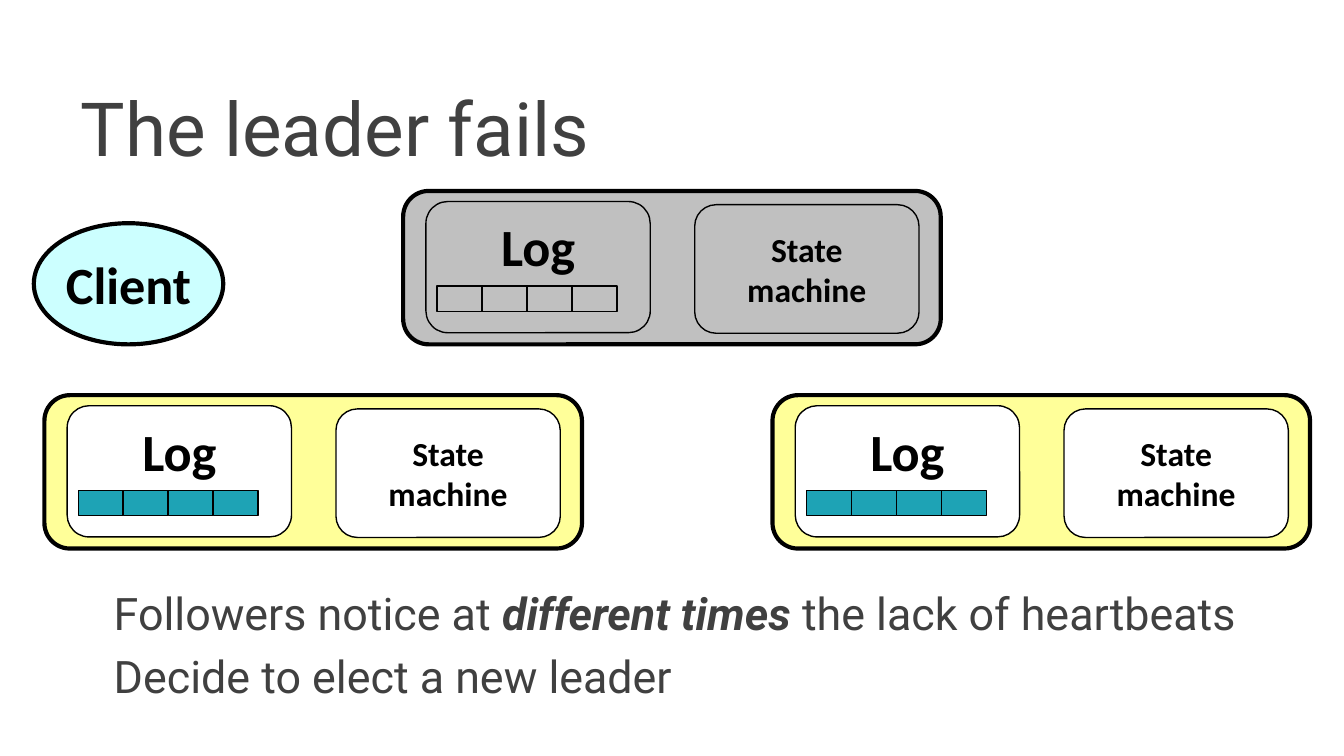
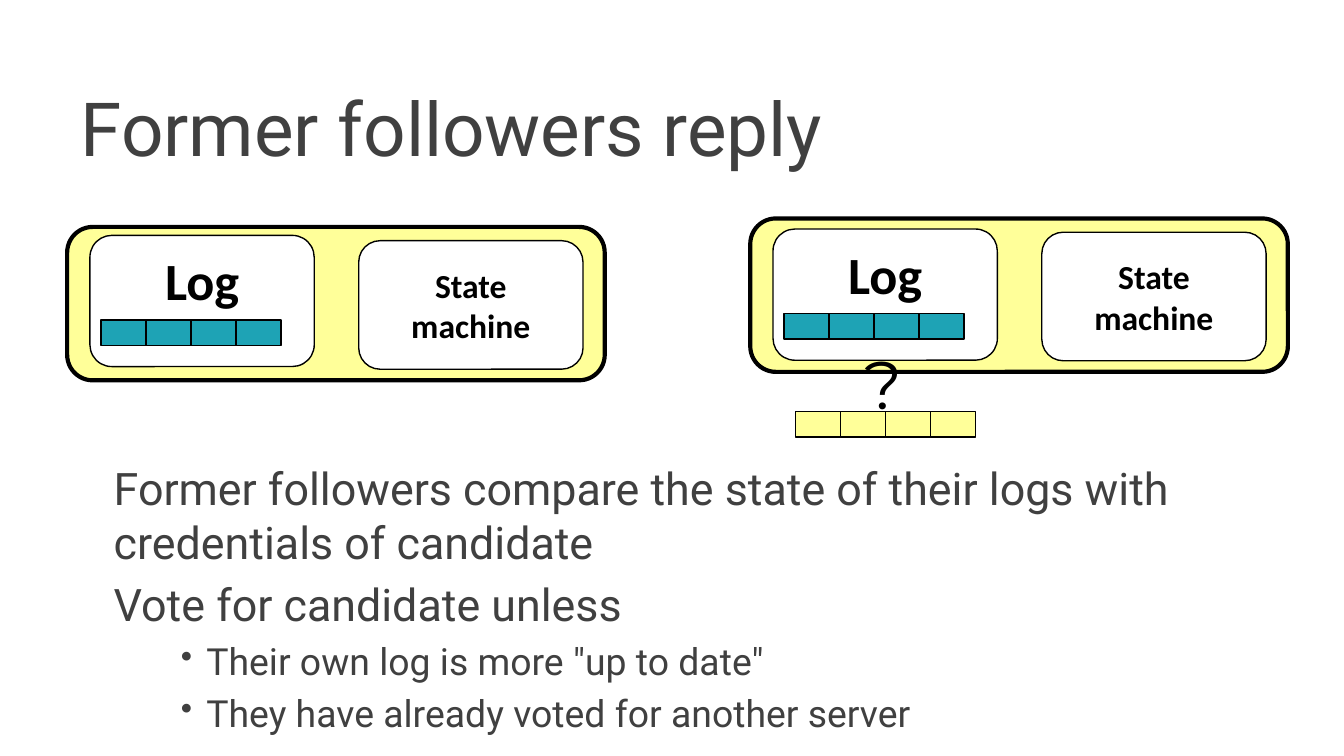
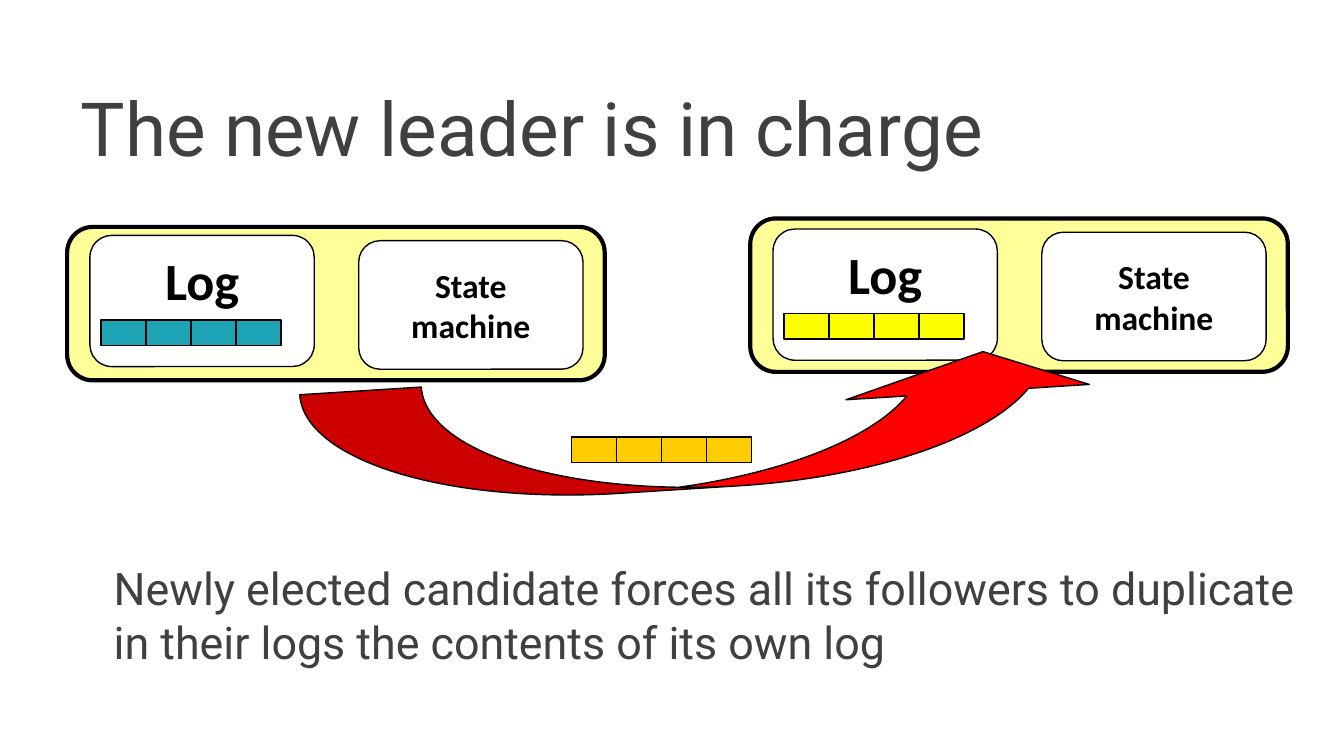
from pptx import Presentation
from pptx.dml.color import RGBColor
from pptx.enum.shapes import MSO_SHAPE
from pptx.enum.text import MSO_ANCHOR, PP_ALIGN
from pptx.oxml.ns import qn
from pptx.util import Cm, Pt
from lxml import etree

ROUNDED = MSO_SHAPE.ROUNDED_RECTANGLE
RECTANGLE = MSO_SHAPE.RECTANGLE
ELLIPSE = MSO_SHAPE.OVAL
CURVED_ARROW = MSO_SHAPE.CURVED_LEFT_ARROW
TOP, MIDDLE = MSO_ANCHOR.TOP, MSO_ANCHOR.MIDDLE
LEFT, CENTER = PP_ALIGN.LEFT, PP_ALIGN.CENTER

# Shared colours and fonts
BLACK = RGBColor(0x00, 0x00, 0x00)
WHITE = RGBColor(0xFF, 0xFF, 0xFF)
TEXT_GREY = RGBColor(0x40, 0x40, 0x40)
FAILED_GREY = RGBColor(0xC0, 0xC0, 0xC0)
PALE_BLUE = RGBColor(0xCC, 0xFF, 0xFF)
PALE_YELLOW = RGBColor(0xFF, 0xFF, 0x99)
YELLOW = RGBColor(0xFF, 0xFF, 0x00)
AMBER = RGBColor(0xFF, 0xCC, 0x00)
TEAL = RGBColor(0x1E, 0xA3, 0xB5)
RED = RGBColor(0xFF, 0x00, 0x00)
TEXT_FONT, LABEL_FONT, MARK_FONT = "Roboto", "Calibri", "Montserrat"

# Log entries, in centimetres
ENTRY_COUNT, ENTRY_WIDTH, ENTRY_HEIGHT = 4, 0.85, 0.48


def add_box(shapes, kind, left, top, width, height, fill, weight=0.75,
            lines=(), size=18, anchor=MIDDLE):
    box = shapes.add_shape(kind, Cm(left), Cm(top), Cm(width), Cm(height))
    box.shadow.inherit = False
    box.fill.solid()
    box.fill.fore_color.rgb = fill
    box.line.color.rgb = BLACK
    box.line.width = Pt(weight)
    frame = box.text_frame
    frame.word_wrap = False
    frame.vertical_anchor = anchor
    for index, line in enumerate(lines):
        para = frame.add_paragraph() if index else frame.paragraphs[0]
        para.alignment = CENTER
        span = para.add_run()
        span.text = line
        span.font.name, span.font.size = LABEL_FONT, Pt(size)
        span.font.bold = True
        span.font.color.rgb = BLACK
    return box


def add_entries(shapes, left, top, fill):
    for index in range(ENTRY_COUNT):
        add_box(shapes, RECTANGLE, left + index * ENTRY_WIDTH, top,
                ENTRY_WIDTH, ENTRY_HEIGHT, fill)


# Servers: left, top, drop of the log box, body, inner boxes, log entries
# Text: top and height of the box, then paragraphs of (is bullet, spans);
# every second span is emphasised
LEFT_SERVER = (1.27, 4.29, 0.16, PALE_YELLOW, WHITE, TEAL)
SLIDES = [
    ("The leader fails",
     [(7.62, 3.61, 0.2, FAILED_GREY, FAILED_GREY, FAILED_GREY),
      (0.84, 7.47, 0.2, PALE_YELLOW, WHITE, TEAL),
      (14.6, 7.47, 0.2, PALE_YELLOW, WHITE, TEAL)],
     10.95, 3.02,
     [(False, ["Followers notice at ", "different times",
               " the lack of heartbeats"]),
      (False, ["Decide to elect a new leader"])]),
    ("Former followers reply",
     [LEFT_SERVER, (14.18, 4.13, 0.2, PALE_YELLOW, WHITE, TEAL)],
     8.58, 5.23,
     [(False, ["Former followers compare the state of their logs with "
               "credentials of candidate"]),
      (False, ["Vote for candidate unless"]),
      (True, ['Their own log is more "up to date"']),
      (True, ["They have already voted for another server"])]),
    ("The new leader is in charge",
     [LEFT_SERVER, (14.18, 4.13, 0.2, PALE_YELLOW, WHITE, YELLOW)],
     10.47, 3.33,
     [(False, ["Newly elected candidate forces all its followers to "
               "duplicate in their logs the contents of its own log"])]),
]

deck = Presentation()
deck.slide_width, deck.slide_height = Cm(25.4), Cm(14.29)
title_only = deck.slide_layouts[5]
pages = []

for heading, servers, text_top, text_height, paragraphs in SLIDES:
    page = deck.slides.add_slide(title_only)
    pages.append(page)

    # Title
    title = page.shapes.title
    title.left, title.top = Cm(1.27), Cm(0.97)
    title.width, title.height = Cm(24.13), Cm(2.85)
    title.text_frame.vertical_anchor = MIDDLE
    para = title.text_frame.paragraphs[0]
    para.alignment = LEFT
    span = para.add_run()
    span.text = heading
    span.font.name, span.font.size = TEXT_FONT, Pt(40)
    span.font.color.rgb = TEXT_GREY

    # Explanation
    box = page.shapes.add_textbox(Cm(1.9), Cm(text_top),
                                  Cm(22.86), Cm(text_height))
    frame = box.text_frame
    frame.word_wrap = True
    for index, (is_bullet, spans) in enumerate(paragraphs):
        para = frame.add_paragraph() if index else frame.paragraphs[0]
        size = 20 if is_bullet else 24
        para.space_before = Pt(size * 0.2)
        if is_bullet:
            para.level = 1
            properties = para._p.get_or_add_pPr()
            properties.set("marL", str(Cm(1.75)))
            properties.set("indent", str(Cm(-0.48)))
            etree.SubElement(properties, qn("a:buSzPct"), val="90000")
            etree.SubElement(properties, qn("a:buChar"), char="•")
        for position, words in enumerate(spans):
            span = para.add_run()
            span.text = words
            span.font.name, span.font.size = TEXT_FONT, Pt(size)
            span.font.color.rgb = TEXT_GREY
            span.font.bold = span.font.italic = position % 2 == 1

    # Servers, each with a log and a state machine
    for left, top, log_drop, body, inner, entries in servers:
        server = page.shapes.add_group_shape().shapes
        add_box(server, ROUNDED, left, top, 10.16, 2.9, body, 2.25)
        add_box(server, ROUNDED, left + 5.51, top + 0.26, 4.24, 2.43, inner,
                lines=["State", "machine"])
        add_box(server, ROUNDED, left + 0.43, top + log_drop, 4.24, 2.48,
                inner, lines=["Log"], size=28, anchor=TOP)
        add_entries(server, left + 0.64, top + log_drop + 1.6, entries)

failure, reply, takeover = pages

# Client of the failed leader
add_box(failure.shapes, ELLIPSE, 0.64, 4.22, 3.58, 2.29, PALE_BLUE, 2.25,
        ["Client"], 28)

# Candidate's log, held against the follower's
add_entries(reply.shapes.add_group_shape().shapes, 15.04, 7.78, PALE_YELLOW)
question = reply.shapes.add_textbox(Cm(16.08), Cm(6.35), Cm(1.3), Cm(1.8))
question.text_frame.word_wrap = False
span = question.text_frame.paragraphs[0].add_run()
span.text = "?"
span.font.name, span.font.size = MARK_FONT, Pt(36)
span.font.color.rgb = BLACK

# New leader's log, sent to the follower
arrow = add_box(takeover.shapes, CURVED_ARROW, 12.22, 0.48, 2.24, 15.24, RED)
arrow.rotation = 266.4
arrow._element.spPr.xfrm.set("flipH", "1")
for index, value in enumerate((1.028, 2.056, 0.333)):
    arrow.adjustments[index] = value
add_entries(takeover.shapes.add_group_shape().shapes, 10.8, 8.26, AMBER)

deck.save("out.pptx")
